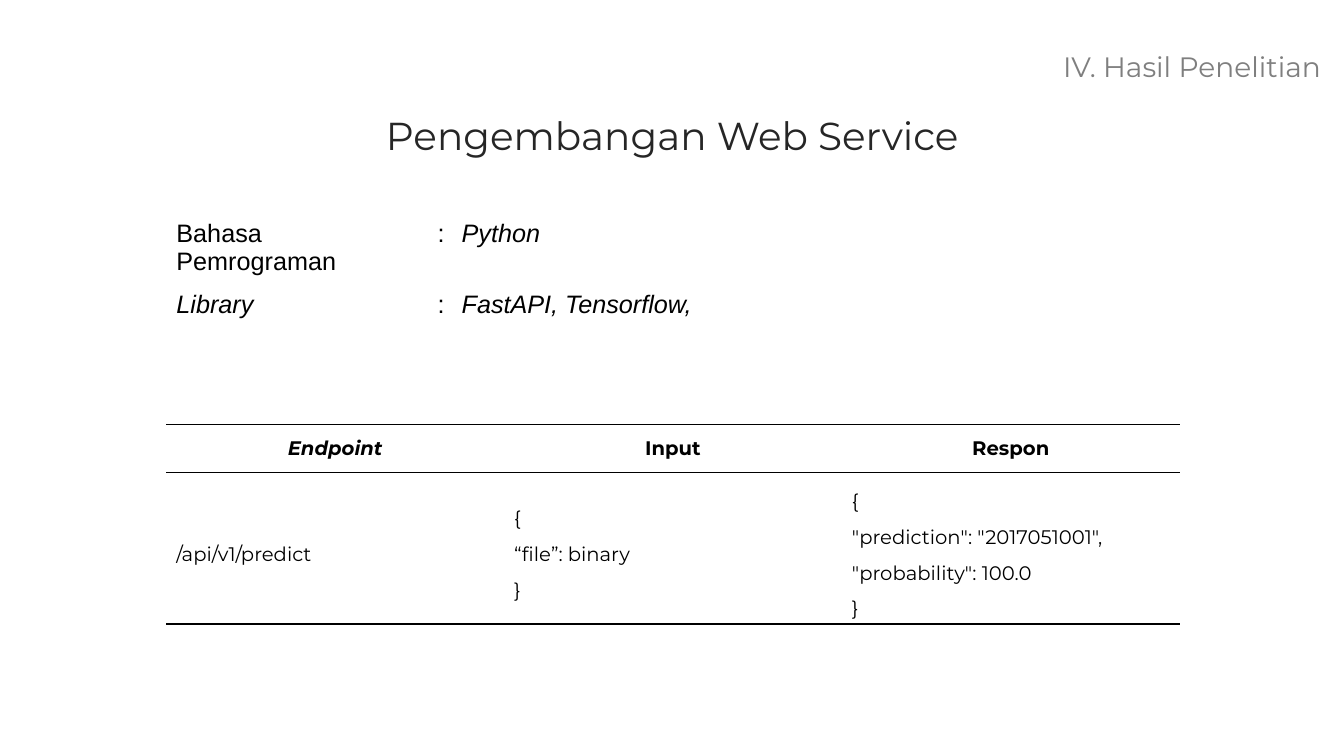
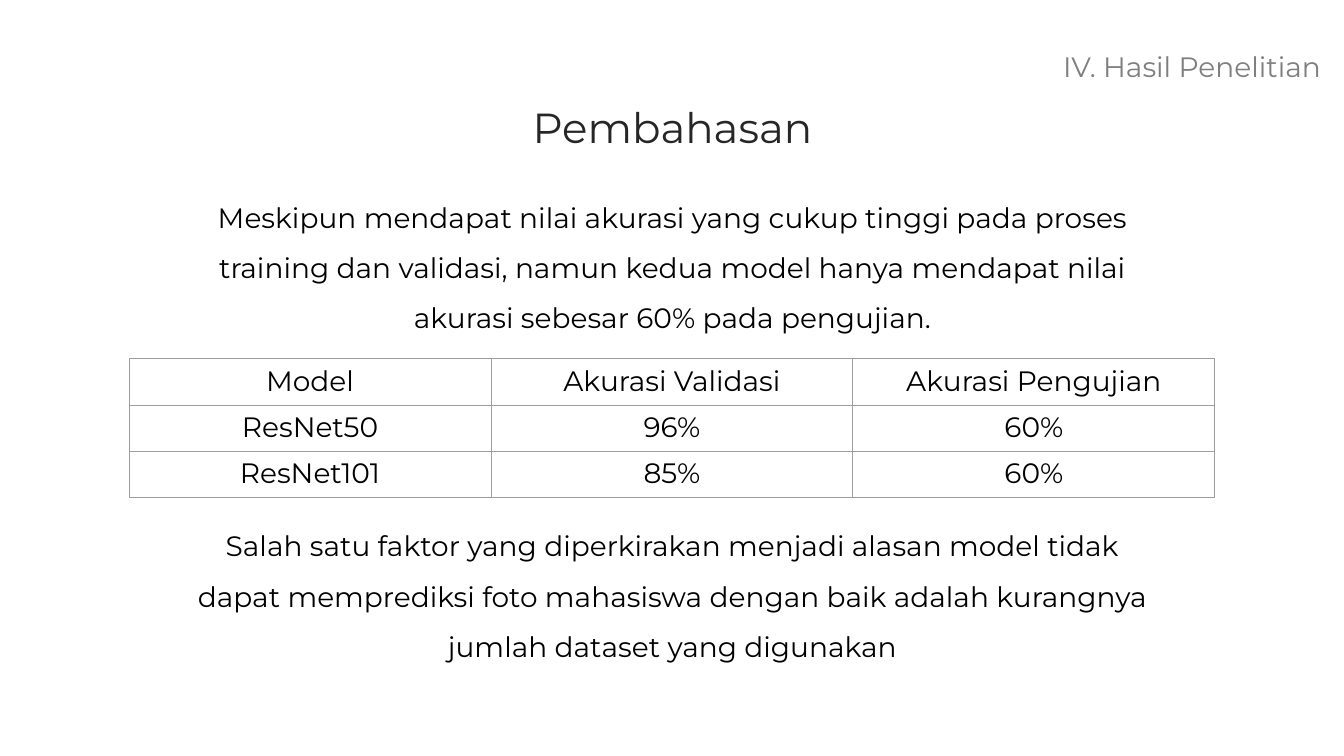
from lxml.etree import SubElement
from pptx import Presentation
from pptx.dml.color import RGBColor
from pptx.enum.text import MSO_ANCHOR, MSO_AUTO_SIZE, PP_ALIGN
from pptx.oxml.ns import qn
from pptx.util import Inches, Pt

BLACK = RGBColor(0x00, 0x00, 0x00)
TITLE_COLOR = RGBColor(0x26, 0x26, 0x26)
SECTION_COLOR = RGBColor(0x7F, 0x7F, 0x7F)
GRID_COLOR = RGBColor(0x9E, 0x9E, 0x9E)
FONT = "Montserrat"
NO_STYLE = "{2D5ABB26-0587-4C30-8999-92F81FD0307C}"
TITLE_ONLY = 5
ALL_SIDES = ("lnL", "lnR", "lnT", "lnB")

SECTION = "IV. Hasil Penelitian"
TOOLS = [
    ("Bahasa Pemrograman", ":", "Python"),
    ("Library", ":", "FastAPI, Tensorflow,"),
]
ENDPOINTS = [
    ("Endpoint", "Input", "Respon"),
    (
        "/api/v1/predict",
        "{\n“file”: binary\n}",
        '{\n"prediction": "2017051001",\n"probability": 100.0\n}',
    ),
]
ITALIC_TEXTS = {"Python", "Library", "FastAPI, Tensorflow,", "Endpoint"}
ACCURACY = [
    ("Model", "Akurasi Validasi", "Akurasi Pengujian"),
    ("ResNet50", "96%", "60%"),
    ("ResNet101", "85%", "60%"),
]
FINDING = (
    "Meskipun mendapat nilai akurasi yang cukup tinggi pada proses training dan "
    "validasi, namun kedua model hanya mendapat nilai akurasi sebesar 60% pada pengujian."
)
CAUSE = (
    "Salah satu faktor yang diperkirakan menjadi alasan model tidak dapat memprediksi "
    "foto mahasiswa dengan baik adalah kurangnya jumlah dataset yang digunakan"
)


def write(frame, text, size, color=BLACK, align=PP_ALIGN.LEFT, spacing=None,
          font=FONT, bold=False):
    frame.text = text
    for paragraph in frame.paragraphs:
        paragraph.alignment = align
        paragraph.line_spacing = spacing
        paragraph.font.name = font
        paragraph.font.size = Pt(size)
        paragraph.font.color.rgb = color
        paragraph.font.bold = bold
        paragraph.font.italic = text in ITALIC_TEXTS


def add_text(slide, box, text, **style):
    frame = slide.shapes.add_textbox(*map(Inches, box)).text_frame
    frame.word_wrap = True
    write(frame, text, 20, **style)
    return frame


def add_slide(deck, title, title_top, title_size):
    """Add a slide with its title and the section label."""
    slide = deck.slides.add_slide(deck.slide_layouts[TITLE_ONLY])
    heading = slide.shapes.title
    heading.left, heading.top = Inches(3.46), Inches(title_top)
    heading.width, heading.height = Inches(6.42), Inches(0.75)
    frame = heading.text_frame
    frame.auto_size = MSO_AUTO_SIZE.NONE
    frame.vertical_anchor = MSO_ANCHOR.MIDDLE
    write(frame, title, title_size, TITLE_COLOR, PP_ALIGN.CENTER, 0.9)
    label = add_text(slide, (9.59, 0.43, 3.61, 0.49), SECTION,
                     color=SECTION_COLOR, align=PP_ALIGN.RIGHT, spacing=0.9)
    label.vertical_anchor = MSO_ANCHOR.MIDDLE
    return slide


def add_plain_table(slide, rows, left, top, widths, heights):
    """Add an unstyled table and return it with its (row, cell, text) triples."""
    frame = slide.shapes.add_table(
        len(rows), len(widths), Inches(left), Inches(top),
        Inches(sum(widths)), Inches(sum(heights)))
    table = frame.table
    table.first_row = table.horz_banding = False
    next(frame._element.iter(qn("a:tableStyleId"))).text = NO_STYLE
    for column, width in zip(table.columns, widths):
        column.width = Inches(width)
    for row, height in zip(table.rows, heights):
        row.height = Inches(height)
    return [(r, table.cell(r, c), text)
            for r, texts in enumerate(rows) for c, text in enumerate(texts)]


def set_borders(cell, sides, color, points):
    properties = cell._tc.get_or_add_tcPr()
    for side in sides:
        line = SubElement(properties, qn(f"a:{side}"), w=str(Pt(points)))
        fill = SubElement(line, qn("a:solidFill"))
        SubElement(fill, qn("a:srgbClr"), val=str(color))


def build_service_slide(deck):
    slide = add_slide(deck, "Pengembangan Web Service", 0.99, 27.8)
    for _, cell, text in add_plain_table(
            slide, TOOLS, 1.65, 2.13, (2.59, 0.23, 6.64), (0.5, 0.5)):
        write(cell.text_frame, text, 18, font="Arial")
        cell.fill.background()

    for row, cell, text in add_plain_table(
            slide, ENDPOINTS, 1.65, 4.21, (3.35,) * 3, (0.48, 1.22)):
        header = row == 0
        write(cell.text_frame, text, 14, bold=header,
              align=PP_ALIGN.CENTER if header else PP_ALIGN.LEFT,
              spacing=None if header else 1.5)
        cell.vertical_anchor = MSO_ANCHOR.MIDDLE
        set_borders(cell, ("lnT", "lnB"), BLACK, 1)
        cell.fill.background()


def build_discussion_slide(deck):
    slide = add_slide(deck, "Pembahasan", 0.91, 30)
    for _, cell, text in add_plain_table(
            slide, ACCURACY, 1.28, 3.56, (3.59,) * 3, (0.46,) * 3):
        write(cell.text_frame, text, 20, align=PP_ALIGN.CENTER)
        set_borders(cell, ALL_SIDES, GRID_COLOR, 0.75)
        cell.fill.background()
    for top, text in ((1.77, FINDING), (5.03, CAUSE)):
        frame = add_text(slide, (1.74, top, 9.86, 1.56), text,
                         align=PP_ALIGN.CENTER, spacing=1.5)
        frame.auto_size = MSO_AUTO_SIZE.SHAPE_TO_FIT_TEXT


def main():
    deck = Presentation()
    deck.slide_width, deck.slide_height = Inches(13.33), Inches(7.5)
    build_service_slide(deck)
    build_discussion_slide(deck)
    deck.save("out.pptx")


if __name__ == "__main__":
    main()
